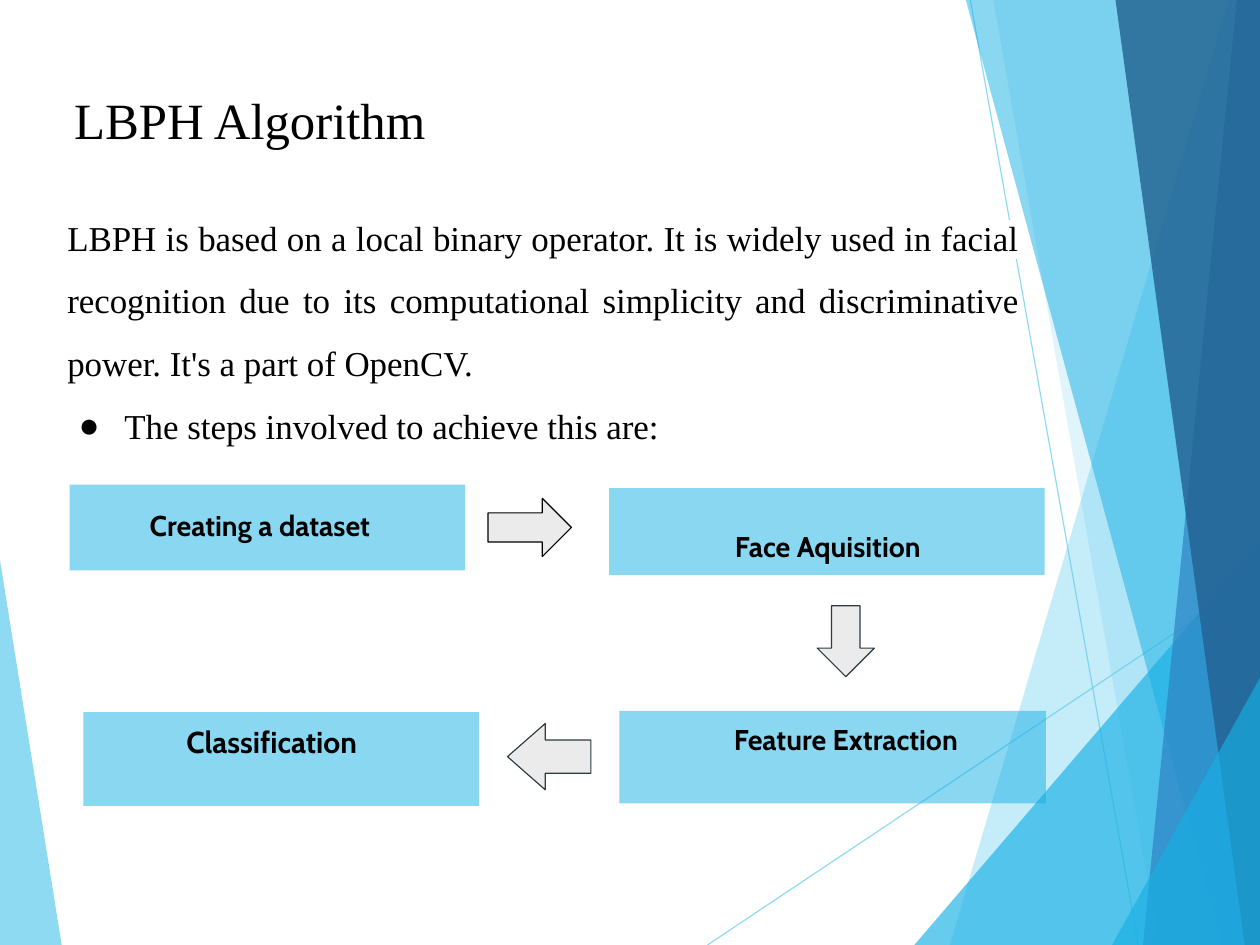
import pptx
import pptx.util
import pptx.dml.color
import pptx.enum.shapes
import pptx.enum.text
import pptx.oxml
import pptx.oxml.ns
import lxml.etree

Inches = pptx.util.Inches
Pt = pptx.util.Pt
MSO = pptx.enum.shapes.MSO_SHAPE
ALIGN = pptx.enum.text.PP_ALIGN
qn = pptx.oxml.ns.qn

# 28 by 21 centimetres, in inches
W, H = 28 / 2.54, 21 / 2.54
SERIF, SANS = "Times New Roman", "Cabin"
BLACK, WHITE, SKY, CYAN = "000000", "FFFFFF", "5FCBEF", "17B0E4"


def rgb(value):
    return pptx.dml.color.RGBColor.from_string(value)


def set_opacity(fill_parent, percent):
    color = next(fill_parent.iter(qn("a:srgbClr")))
    lxml.etree.SubElement(color, qn("a:alpha"), val=str(percent * 1000))


def paint(s, color, opacity=100, line=None):
    s.shadow.inherit = False
    s.fill.solid()
    s.fill.fore_color.rgb = rgb(color)
    if opacity < 100:
        set_opacity(s.fill._xPr, opacity)
    if line:
        s.line.color.rgb = rgb(line)
        s.line.width = Pt(0.75)
    else:
        s.line.fill.background()


def set_insets(tf, left=0.1, top=0.05, right=0.1, bottom=0.05):
    tf.word_wrap = True
    tf.vertical_anchor = pptx.enum.text.MSO_ANCHOR.TOP
    tf.margin_left, tf.margin_top = Inches(left), Inches(top)
    tf.margin_right, tf.margin_bottom = Inches(right), Inches(bottom)


def add_run(p, text, size, font, bold=False):
    r = p.add_run()
    r.text = text
    r.font.size, r.font.name, r.font.bold = Pt(size), font, bold
    r.font.color.rgb = rgb(BLACK)
    return r


def highlight(r, color):
    rPr = r.font._rPr
    mark = rPr.makeelement(qn("a:highlight"), {})
    lxml.etree.SubElement(mark, qn("a:srgbClr"), val=color)
    rPr.find(qn("a:latin")).addprevious(mark)


def add_bullet(p, char, left, hanging):
    pPr = p._p.get_or_add_pPr()
    pPr.set("marL", str(Inches(left)))
    pPr.set("indent", str(-Inches(hanging)))
    bullet_color = lxml.etree.SubElement(pPr, qn("a:buClr"))
    lxml.etree.SubElement(bullet_color, qn("a:srgbClr"), val=BLACK)
    lxml.etree.SubElement(pPr, qn("a:buFont"), typeface=SERIF)
    lxml.etree.SubElement(pPr, qn("a:buChar"), char=char)


def add_facet(slide, points, color, opacity):
    corners = [(Inches(x), Inches(y)) for x, y in points]
    builder = slide.shapes.build_freeform(*corners[0])
    builder.add_line_segments(corners[1:], close=True)
    paint(builder.convert_to_shape(), color, opacity)


def add_thin_line(slide, x1, y1, x2, y2):
    s = slide.shapes.add_connector(pptx.enum.shapes.MSO_CONNECTOR.STRAIGHT,
                                   Inches(x1), Inches(y1), Inches(x2), Inches(y2))
    s.line.color.rgb = rgb(SKY)
    s.line.width = Pt(0.75)
    set_opacity(s.line._ln, 70)
    lxml.etree.SubElement(s._element.spPr, qn("a:effectLst"))


def add_backdrop(slide, width, height):
    # Left wedge and thin lines
    add_facet(slide, [(0, 4.9), (0.54, height), (0, height)], SKY, 70)
    add_thin_line(slide, 6.19, height, width, 5.04)
    add_thin_line(slide, 8.49, 0, 9.96, height)
    # Right facets: x at the top edge, x at the bottom edge
    for top_x, bottom_x, color, opacity in [
            (10.75, 8.31, SKY, 36), (8.69, 10.14, SKY, 20), (None, 8, CYAN, 65),
            (8.45, 10.69, CYAN, 50), (10.82, 10, "2E83C3", 70),
            (9.76, 10.89, "236292", 82), (None, 9.73, CYAN, 65)]:
        if top_x is None:
            # Triangle rising to the right edge
            peak = 4.74 if bottom_x == 8 else 5.93
            points = [(bottom_x, height), (width, peak), (width, height)]
        else:
            points = [(top_x, 0), (bottom_x, height), (width, height), (width, 0)]
        add_facet(slide, points, color, opacity)


def add_title(slide, x, y, w, h):
    s = slide.shapes.add_textbox(Inches(x), Inches(y), Inches(w), Inches(h))
    set_insets(s.text_frame)
    add_run(s.text_frame.paragraphs[0], "LBPH Algorithm", 32, SERIF)


def add_body(slide, x, y, w, h):
    s = slide.shapes.add_textbox(Inches(x), Inches(y), Inches(w), Inches(h))
    tf = s.text_frame
    set_insets(tf)
    intro, steps = tf.paragraphs[0], tf.add_paragraph()
    for p, text in [
            (intro, "LBPH is based on a local binary operator. It is widely used in "
                    "facial recognition due to its computational simplicity and "
                    "discriminative power. It's a part of OpenCV."),
            (steps, "The steps involved to achieve this are:")]:
        p.alignment = ALIGN.JUSTIFY
        p.line_spacing = 1.5
        highlight(add_run(p, text, 22, SERIF), WHITE)
    add_bullet(steps, "●", 0.5, 0.4)


def add_step(slide, x, y, w, h, text, left, top, size=18, spacing=1.0):
    s = slide.shapes.add_shape(MSO.RECTANGLE, Inches(x), Inches(y), Inches(w), Inches(h))
    paint(s, CYAN, 50)
    set_insets(s.text_frame, left=left, top=top)
    p = s.text_frame.paragraphs[0]
    p.alignment = ALIGN.LEFT
    p.line_spacing = spacing
    add_run(p, text, size, SANS, bold=True)


def add_arrow(slide, kind, x, y, w, h, line, head=0.5):
    s = slide.shapes.add_shape(kind, Inches(x), Inches(y), Inches(w), Inches(h))
    s.adjustments[1] = head
    paint(s, "EBEBEB", line=line)


def add_flow(slide, x, y):
    # Steps, clockwise from the top left
    add_step(slide, x, y, 3.46, 0.75, "Creating a dataset", 0.7, 0.2)
    add_step(slide, x + 4.72, y + 0.03, 3.81, 0.76, "Face Aquisition", 1.1, 0.21, spacing=1.5)
    add_step(slide, x + 4.81, y + 1.98, 3.73, 0.81, "Feature Extraction", 1, 0.1)
    add_step(slide, x + 0.12, y + 1.99, 3.46, 0.82, "Classification", 0.9, 0.1, size=19)
    # Arrows between the steps
    add_arrow(slide, MSO.RIGHT_ARROW, x + 3.66, y + 0.12, 0.73, 0.51, BLACK)
    add_arrow(slide, MSO.DOWN_ARROW, x + 6.54, y + 1.06, 0.5, 0.62, "2C3C43")
    add_arrow(slide, MSO.LEFT_ARROW, x + 3.83, y + 2.09, 0.73, 0.58, "2C3C43", 0.57)


def main():
    prs = pptx.Presentation()
    prs.slide_width, prs.slide_height = Inches(W), Inches(H)
    slide = prs.slides.add_slide(prs.slide_layouts[6])
    add_backdrop(slide, W, H)
    add_title(slide, 0.55, 0.73, 7.84, 0.93)
    add_body(slide, 0.49, 1.66, 8.52, 2.24)
    add_flow(slide, 0.61, 4.24)
    prs.save("out.pptx")


if __name__ == "__main__":
    main()
